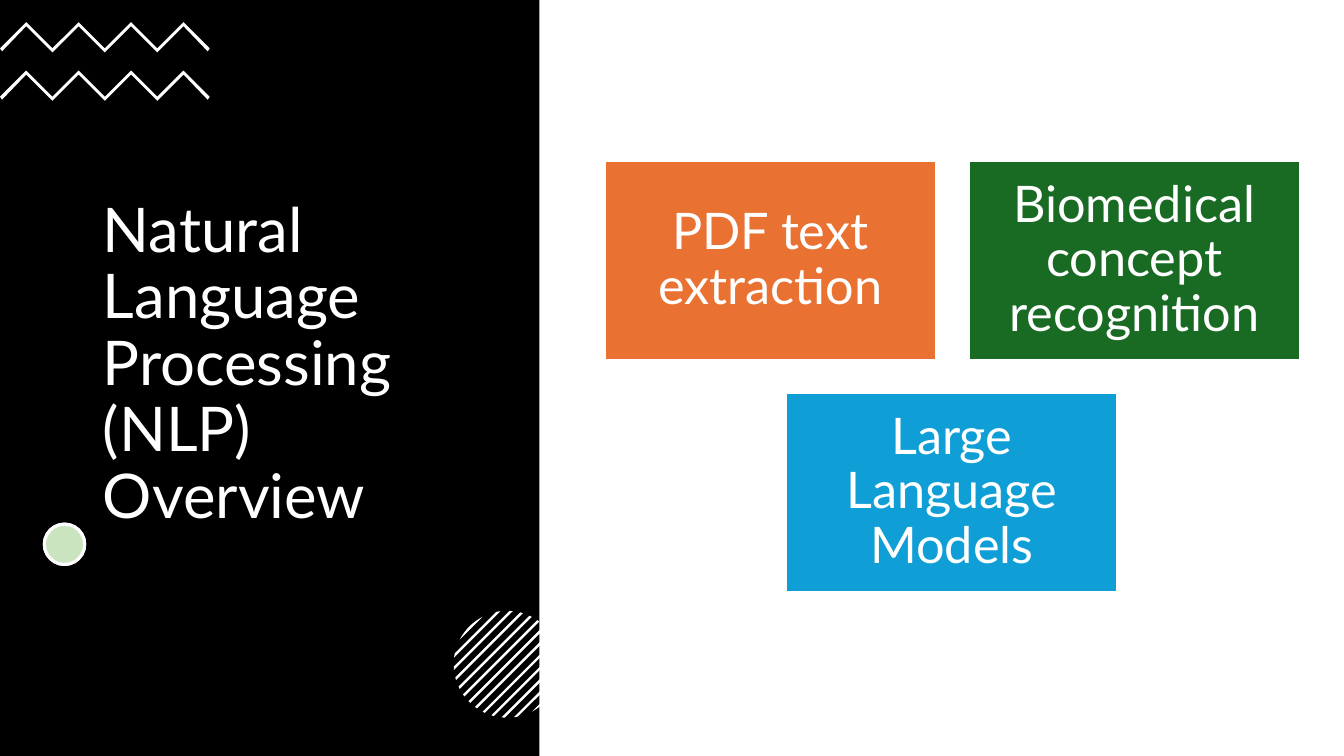
from dataclasses import dataclass
from math import acos, cos, pi, sin, sqrt

from lxml import etree
from pptx import Presentation
from pptx.dml.color import RGBColor
from pptx.enum.shapes import MSO_SHAPE
from pptx.enum.text import MSO_ANCHOR, MSO_AUTO_SIZE, PP_ALIGN
from pptx.oxml.ns import qn
from pptx.util import Inches, Pt

RECT, OVAL = MSO_SHAPE.RECTANGLE, MSO_SHAPE.OVAL
LEFT, CENTER = PP_ALIGN.LEFT, PP_ALIGN.CENTER
MIDDLE, FIXED = MSO_ANCHOR.MIDDLE, MSO_AUTO_SIZE.NONE


@dataclass
class Theme:
    font: str = "Lato"
    head: int = 44
    body: int = 36
    black: str = "000000"
    white: str = "FFFFFF"
    orange: str = "E97132"
    forest: str = "196B24"
    blue: str = "0F9ED5"
    leaf: str = "4EA72E"


theme = Theme()


def paint(shape, fill, line=0):
    """Fill a shape and give it a white outline, or none."""
    shape.shadow.inherit = False
    shape.fill.solid()
    shape.fill.fore_color.rgb = RGBColor.from_string(fill)
    if line:
        shape.line.color.rgb = RGBColor.from_string(theme.white)
        shape.line.width = Pt(line)
    else:
        shape.line.fill.background()


def write(shape, text, size=theme.body, align=CENTER, inset=None):
    """Put white text in a shape, centred from top to bottom."""
    frame = shape.text_frame
    frame.text = text
    frame.word_wrap = True
    frame.auto_size = FIXED
    frame.vertical_anchor = MIDDLE
    if inset:
        frame.margin_left = frame.margin_right = Inches(inset)
        frame.margin_top = frame.margin_bottom = Inches(inset)
    para = frame.paragraphs[0]
    para.alignment = align
    para.line_spacing = 0.9
    para.font.name = theme.font
    para.font.size = Pt(size)
    para.font.color.rgb = RGBColor.from_string(theme.white)


deck = Presentation()
deck.slide_width, deck.slide_height = Inches(13.33), Inches(7.5)
slide = deck.slides.add_slide(deck.slide_layouts[5])
shapes = slide.shapes

# Title on a black panel
title = shapes.title
title.left, title.top = Inches(0.92), Inches(1.31)
title.width, title.height = Inches(3.5), Inches(4.63)
write(title, "Natural Language Processing (NLP) Overview",
      size=theme.head, align=LEFT)
panel = shapes.add_shape(RECT, 0, 0, Inches(5.35), Inches(7.5))
paint(panel, theme.black)
title.element.addprevious(panel.element)

# Zigzag outlines: upper edge, then lower edge back
outlines = []
for top in (0.22, 0.7):
    peaks = [(0.26 * i, top + (0 if i % 2 else 0.26)) for i in range(9)]
    under = [(x, y + 0.04) for x, y in peaks[-2:0:-1]]
    ends = [(2.06, top + 0.29)], [(0.02, top + 0.29)]
    outlines.append(peaks + ends[0] + under + ends[1])

# Stripe outlines: diagonal bands cut by a circle
mid_x, mid_y, radius = 5.03, 6.59, 0.53
gap, half, steps = 0.122 / sqrt(2), 0.012, 6
for band in range(-6, 7):
    near, far = [acos(max(-1, min(1, (band * gap + side) / radius)))
                 for side in (-half, half)]
    # Let the two end bands reach the rim
    if band == -6:
        near = pi
    if band == 6:
        far = 0
    arc = [near + (far - near) * i / steps for i in range(steps + 1)]
    turns = [pi / 4 + a for a in arc] + [pi / 4 - a for a in arc[::-1]]
    outlines.append([(mid_x + radius * cos(t), mid_y + radius * sin(t))
                     for t in turns])

for points in outlines:
    spots = [(Inches(x), Inches(y)) for x, y in points]
    pen = shapes.build_freeform(*spots[0])
    pen.add_line_segments(spots[1:], close=True)
    paint(pen.convert_to_shape(), theme.white)

# Green dot: a clear tint over white
for color in (theme.white, theme.leaf):
    dot = shapes.add_shape(OVAL, Inches(0.44), Inches(5.2),
                           Inches(0.4), Inches(0.4))
    paint(dot, color, line=2.25)
tint = dot.element.spPr.find(qn("a:solidFill")).find(qn("a:srgbClr"))
etree.SubElement(tint, qn("a:alpha")).set("val", "30000")

# Topic boxes
topics = [
    ("PDF text extraction", 6, 1.6, theme.orange),
    ("Biomedical concept recognition", 9.61, 1.6, theme.forest),
    ("Large Language Models", 7.8, 3.9, theme.blue),
]
for text, x, y, color in topics:
    box = shapes.add_shape(RECT, Inches(x), Inches(y),
                           Inches(3.28), Inches(1.97))
    paint(box, color, line=1.5)
    write(box, text, inset=0.15)

deck.save("out.pptx")
